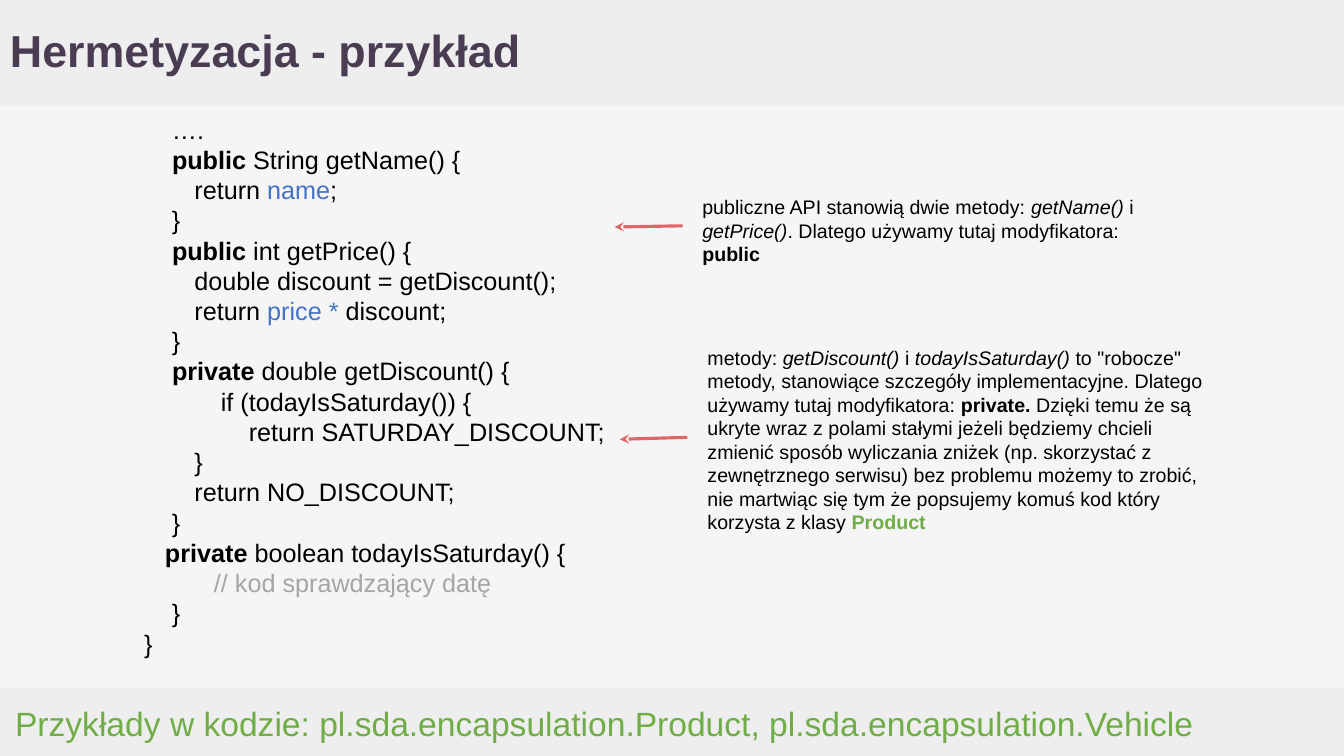
from dataclasses import dataclass

from lxml import etree
from pptx import Presentation
from pptx.dml.color import RGBColor
from pptx.enum.shapes import MSO_CONNECTOR, MSO_SHAPE
from pptx.enum.text import MSO_ANCHOR, MSO_AUTO_SIZE, PP_ALIGN
from pptx.oxml.ns import qn
from pptx.slide import Slide
from pptx.text.text import TextFrame
from pptx.util import Cm, Pt

TOP, MIDDLE = MSO_ANCHOR.TOP, MSO_ANCHOR.MIDDLE
LEFT = PP_ALIGN.LEFT
NO_AUTOFIT = MSO_AUTO_SIZE.NONE
RECTANGLE = MSO_SHAPE.RECTANGLE
STRAIGHT = MSO_CONNECTOR.STRAIGHT

FONT = "Arial"
WIDTH, HEIGHT = 33.87, 19.05
BACKGROUND, BAND = "F5F5F5", "EEEEEE"
BLACK, PURPLE, BLUE = "000000", "4A3D53", "4472C4"
GREY, GREEN, RED = "A5A5A5", "70AD47", "E06666"


@dataclass(frozen=True)
class Span:
    text: str
    bold: bool = False
    italic: bool = False
    color: str = ""


@dataclass(frozen=True)
class Box:
    """Left, top, width and height in centimetres."""
    left: float
    top: float
    width: float
    height: float

    def lengths(self) -> tuple[Cm, Cm, Cm, Cm]:
        return Cm(self.left), Cm(self.top), Cm(self.width), Cm(self.height)


@dataclass(frozen=True)
class Note:
    box: Box
    arrow_tip: tuple[float, float]
    arrow_tail: tuple[float, float]
    spans: list[Span]


Line = list[Span]


def method(modifier: str, signature: str, indent: str = "    ") -> Line:
    return [Span(indent), Span(modifier + " ", bold=True), Span(signature)]


CLOSING = [Span("    }")]
CODE: list[Line] = [
    [Span("    ….")],
    method("public", "String getName() {"),
    [Span("\treturn "), Span("name", color=BLUE), Span(";")],
    CLOSING,
    method("public", "int getPrice() {"),
    [Span("\tdouble discount = getDiscount();")],
    [Span("\treturn "), Span("price * ", color=BLUE), Span("discount;")],
    CLOSING,
    method("private", "double getDiscount() {"),
    [Span("           if (todayIsSaturday()) {")],
    [Span("               return SATURDAY_DISCOUNT;")],
    [Span("\t}")],
    [Span("\treturn NO_DISCOUNT;")],
    CLOSING,
    method("private", "boolean todayIsSaturday() {", "   "),
    [Span("          "), Span("// kod sprawdzający datę", color=GREY)],
    CLOSING,
    [Span("}")],
]

NOTES = [
    Note(Box(17.45, 4.67, 11.4, 1.9), (15.49, 5.72), (17.2, 5.69), [
        Span("publiczne API stanowią dwie metody: "),
        Span("getName()", italic=True),
        Span(" i "),
        Span("getPrice()", italic=True),
        Span(". Dlatego używamy tutaj modyfikatora: "),
        Span("public", bold=True),
    ]),
    Note(Box(17.58, 8.46, 13.1, 5.61), (15.62, 11.07), (17.32, 11.02), [
        Span("metody: "),
        Span("getDiscount()", italic=True),
        Span(" i "),
        Span("todayIsSaturday() ", italic=True),
        Span('to "robocze" metody, stanowiące szczegóły implementacyjne. '
             "Dlatego używamy tutaj modyfikatora: "),
        Span("private. ", bold=True),
        Span("Dzięki temu że są ukryte wraz z polami stałymi jeżeli będziemy "
             "chcieli zmienić sposób wyliczania zniżek (np. skorzystać z "
             "zewnętrznego serwisu) bez problemu możemy to zrobić, nie "
             "martwiąc się tym że popsujemy komuś kod który korzysta z klasy "),
        Span("Product", bold=True, color=GREEN),
    ]),
]


def rgb(color: str) -> RGBColor:
    return RGBColor.from_string(color)


def write(frame: TextFrame, lines: list[Line], size: int,
          color: str = BLACK, anchor: MSO_ANCHOR = TOP) -> None:
    frame.word_wrap = True
    frame.auto_size = NO_AUTOFIT
    frame.vertical_anchor = anchor
    frame.margin_left = frame.margin_right = Cm(0.25)
    frame.margin_top = frame.margin_bottom = Cm(0.25)
    for number, line in enumerate(lines):
        paragraph = frame.add_paragraph() if number else frame.paragraphs[0]
        paragraph.alignment = LEFT
        paragraph.font.name = FONT
        paragraph.font.size = Pt(size)
        paragraph.font.color.rgb = rgb(color)
        for span in line:
            run = paragraph.add_run()
            run.text = span.text
            if span.bold:
                run.font.bold = True
            if span.italic:
                run.font.italic = True
            if span.color:
                run.font.color.rgb = rgb(span.color)


def add_text(slide: Slide, box: Box, lines: list[Line], size: int,
             color: str = BLACK, anchor: MSO_ANCHOR = TOP) -> None:
    shape = slide.shapes.add_textbox(*box.lengths())
    write(shape.text_frame, lines, size, color, anchor)


def add_band(slide: Slide, box: Box) -> None:
    shape = slide.shapes.add_shape(RECTANGLE, *box.lengths())
    shape.shadow.inherit = False
    shape.fill.solid()
    shape.fill.fore_color.rgb = rgb(BAND)
    shape.line.fill.background()


def add_note(slide: Slide, note: Note) -> None:
    """Add a remark and the arrow from it to the code."""
    tip_x, tip_y = note.arrow_tip
    tail_x, tail_y = note.arrow_tail
    arrow = slide.shapes.add_connector(
        STRAIGHT, Cm(tip_x), Cm(tip_y), Cm(tail_x), Cm(tail_y))
    arrow.line.color.rgb = rgb(RED)
    arrow.line.width = Pt(2.25)
    outline = arrow.line._get_or_add_ln()
    etree.SubElement(outline, qn("a:headEnd"), type="stealth")
    etree.SubElement(arrow._element.spPr, qn("a:effectLst"))
    add_text(slide, note.box, [note.spans], 14)


def add_title(slide: Slide, box: Box, text: str) -> None:
    title = slide.shapes.title
    title.left, title.top, title.width, title.height = box.lengths()
    write(title.text_frame, [[Span(text, bold=True)]], 32, PURPLE, MIDDLE)
    title.text_frame.paragraphs[0].line_spacing = 0.9
    # Bring the title in front of the bands
    slide.shapes._spTree.append(title._element)


def main() -> None:
    presentation = Presentation()
    presentation.slide_width = Cm(WIDTH)
    presentation.slide_height = Cm(HEIGHT)
    slide = presentation.slides.add_slide(
        presentation.slide_layouts.get_by_name("Title Only"))
    slide.background.fill.solid()
    slide.background.fill.fore_color.rgb = rgb(BACKGROUND)

    add_band(slide, Box(0, 17.32, WIDTH, 1.73))
    add_band(slide, Box(0, 0, WIDTH, 2.67))
    add_title(slide, Box(0, 0, 30.28, 2.67), "Hermetyzacja - przykład")
    add_text(slide, Box(3.38, 2.62, 13.2, 14.96), CODE, 18)
    for note in NOTES:
        add_note(slide, note)
    footer = ("Przykłady w kodzie: pl.sda.encapsulation.Product, "
              "pl.sda.encapsulation.Vehicle")
    add_text(slide, Box(0.13, 17.37, 32.39, 1.68), [[Span(footer)]], 24,
             GREEN, MIDDLE)
    presentation.save("out.pptx")


if __name__ == "__main__":
    main()
